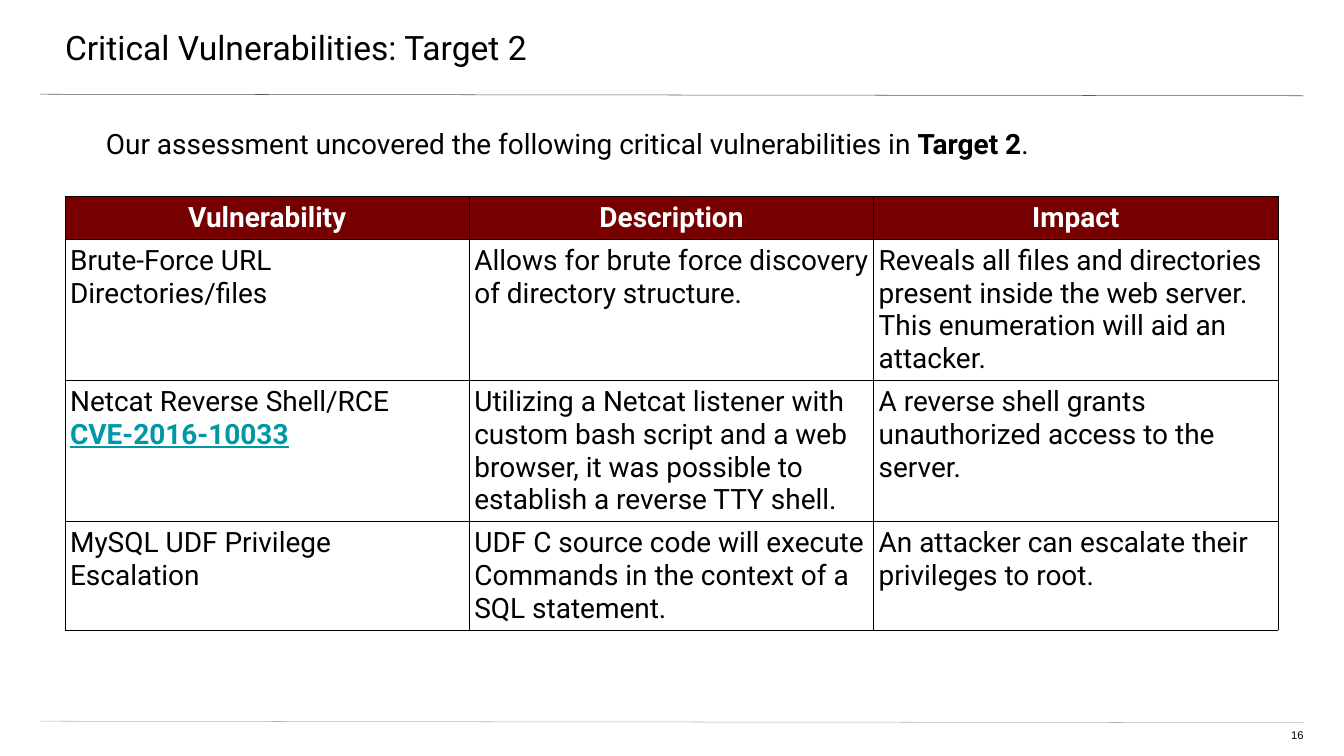
from lxml.etree import SubElement
from pptx import Presentation
from pptx.dml.color import RGBColor
from pptx.enum.shapes import MSO_CONNECTOR
from pptx.enum.text import MSO_ANCHOR, MSO_AUTO_SIZE, PP_ALIGN
from pptx.oxml.ns import qn
from pptx.util import Inches, Pt

COLORS = {
    "text": "000000",
    "header_text": "FFFFFF",
    "header_fill": "760000",
    "border": "000000",
    "link": "0097A7",
    "top_rule": "595959",
    "bottom_rule": "A9B7C0",
}
HEADERS = ["Vulnerability", "Description", "Impact"]
# Each cell is a list of paragraphs.
FINDINGS = [
    [
        ["Brute-Force URL Directories/files"],
        ["Allows for brute force discovery of directory structure."],
        ["Reveals all files and directories present inside the web server. "
         "This enumeration will aid an attacker."],
    ],
    [
        ["Netcat Reverse Shell/RCE", "CVE-2016-10033"],
        ["Utilizing a Netcat listener with custom bash script and a web browser, "
         "it was possible to establish a reverse TTY shell."],
        ["A reverse shell grants unauthorized access to the server."],
    ],
    [
        ["MySQL UDF Privilege Escalation"],
        ["UDF C source code will execute Commands in the context of a SQL statement."],
        ["An attacker can escalate their privileges to root."],
    ],
]
ROW_HEIGHTS = [0.85, 2.8, 2.8, 2.15]


def add_span(para, text, color="text", **formats):
    span = para.add_run()
    span.text = text
    values = {"name": "Roboto", "size": Pt(40), "bold": False, **formats}
    for name, value in values.items():
        setattr(span.font, name, value)
    span.font.color.rgb = RGBColor.from_string(COLORS[color])


def format_frame(frame, left, top, right, bottom):
    """Set the insets in inches and keep the text wrapped at its own size."""
    values = {
        "margin_left": Inches(left),
        "margin_top": Inches(top),
        "margin_right": Inches(right),
        "margin_bottom": Inches(bottom),
        "word_wrap": True,
        "auto_size": MSO_AUTO_SIZE.NONE,
        "vertical_anchor": MSO_ANCHOR.TOP,
    }
    for name, value in values.items():
        setattr(frame, name, value)


def add_rule(page, left, top, width, color):
    """Draw a thin, very slightly falling rule across the page."""
    rule = page.shapes.add_connector(
        MSO_CONNECTOR.STRAIGHT, Inches(left), Inches(top),
        Inches(left + width), Inches(top + 0.03))
    rule.line.width = Pt(0.75)
    rule.line.color.rgb = RGBColor.from_string(COLORS[color])
    SubElement(rule.element.spPr, qn("a:effectLst"))


def place_title(page, left, top, width, height):
    title = page.shapes.title
    title.left, title.top = Inches(left), Inches(top)
    title.width, title.height = Inches(width), Inches(height)
    format_frame(title.text_frame, 1.33, 0.53, 0.8, 0.27)
    para = title.text_frame.paragraphs[0]
    para.alignment = PP_ALIGN.LEFT
    add_span(para, "Critical Vulnerabilities: Target 2", size=Pt(48))


def add_introduction(page, left, top, width, height):
    box = page.shapes.add_textbox(Inches(left), Inches(top), Inches(width), Inches(height))
    format_frame(box.text_frame, 1.33, 0, 1.33, 0)
    para = box.text_frame.paragraphs[0]
    add_span(para, "Our assessment uncovered the following critical vulnerabilities in ")
    add_span(para, "Target 2", bold=True)
    add_span(para, ".")


def add_page_number(page, left, top, width, height):
    box = page.shapes.add_textbox(Inches(left), Inches(top), Inches(width), Inches(height))
    format_frame(box.text_frame, 0, 0, 0, 0)
    para = box.text_frame.paragraphs[0]
    para.alignment = PP_ALIGN.RIGHT
    add_span(para, "16", name="Arial", size=Pt(16))


def add_borders(cell):
    properties = cell._tc.get_or_add_tcPr()
    for side in ("lnL", "lnR", "lnT", "lnB"):
        line = SubElement(properties, qn(f"a:{side}"), w=str(Pt(1)))
        fill = SubElement(line, qn("a:solidFill"))
        SubElement(fill, qn("a:srgbClr"), val=COLORS["border"])


def fill_cell(cell, texts, is_header):
    for side in ("left", "top", "right", "bottom"):
        setattr(cell, f"margin_{side}", Inches(0.1))
    add_borders(cell)
    if is_header:
        cell.fill.solid()
        cell.fill.fore_color.rgb = RGBColor.from_string(COLORS["header_fill"])
    else:
        cell.fill.background()
    frame = cell.text_frame
    for index, text in enumerate(texts):
        para = frame.add_paragraph() if index else frame.paragraphs[0]
        if is_header:
            para.alignment = PP_ALIGN.CENTER
            add_span(para, text, "header_text", bold=True)
        elif text.startswith("CVE-"):
            add_span(para, text, "link", bold=True, underline=True)
        else:
            add_span(para, text)


def add_findings_table(page, left, top, width):
    rows = [[[header] for header in HEADERS], *FINDINGS]
    table = page.shapes.add_table(
        len(rows), len(HEADERS), Inches(left), Inches(top),
        Inches(width), Inches(sum(ROW_HEIGHTS))).table
    table.horz_banding = False
    for column in table.columns:
        column.width = Inches(width / len(HEADERS))
    for row_index, (row, height) in enumerate(zip(rows, ROW_HEIGHTS)):
        table.rows[row_index].height = Inches(height)
        for column_index, texts in enumerate(row):
            fill_cell(table.cell(row_index, column_index), texts, row_index == 0)


def main():
    deck = Presentation()
    deck.slide_width, deck.slide_height = Inches(26.66), Inches(15)
    page = deck.slides.add_slide(deck.slide_layouts[5])
    add_rule(page, 0.8, 1.87, 25.06, "top_rule")
    add_rule(page, 0.8, 14.31, 25.06, "bottom_rule")
    place_title(page, -0.04, 0, 26.73, 1.56)
    add_page_number(page, 25.1, 14.46, 0.76, 0.31)
    add_introduction(page, 0.77, 2.51, 25.09, 1)
    add_findings_table(page, 1.29, 3.9, 24.06)
    deck.save("out.pptx")


if __name__ == "__main__":
    main()
